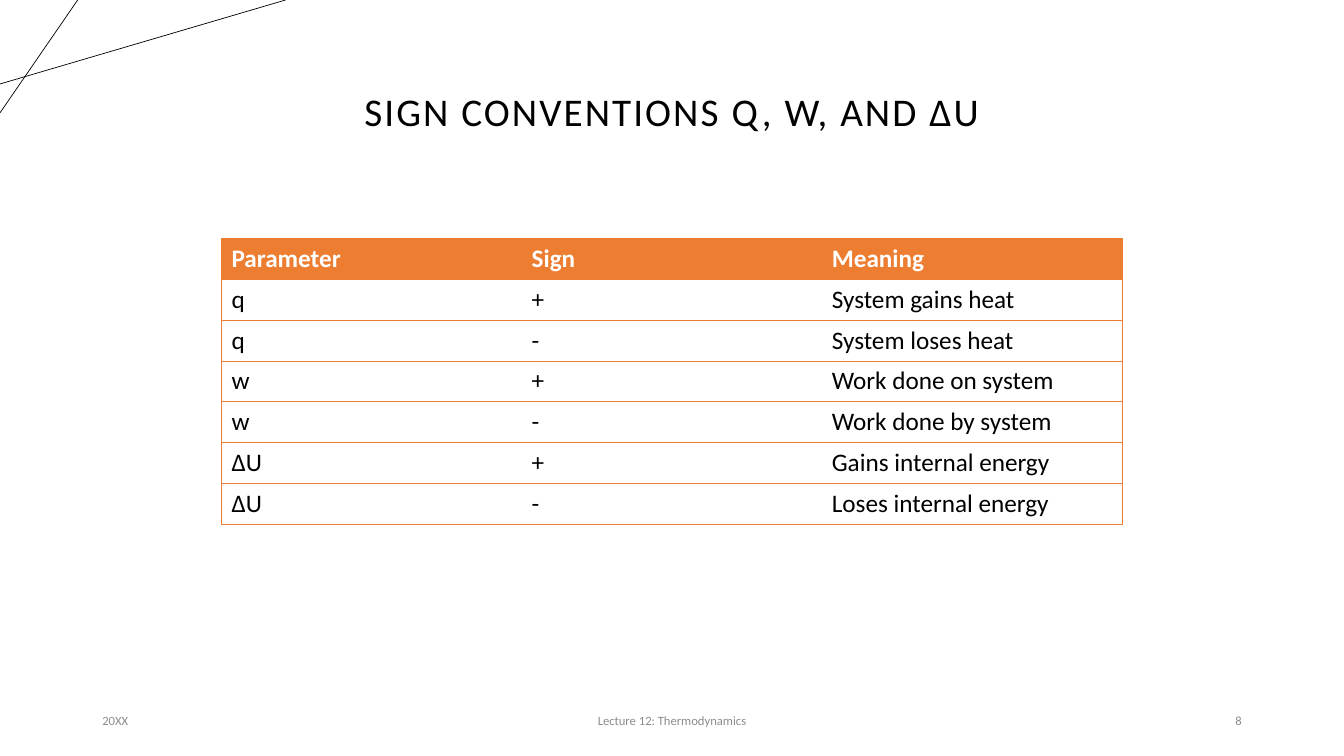
from lxml import etree
from pptx import Presentation
from pptx.dml.color import RGBColor
from pptx.enum.shapes import MSO_CONNECTOR
from pptx.enum.text import MSO_ANCHOR, PP_ALIGN
from pptx.oxml.ns import qn
from pptx.util import Pt

LEFT, CENTER, RIGHT = PP_ALIGN.LEFT, PP_ALIGN.CENTER, PP_ALIGN.RIGHT
MIDDLE = MSO_ANCHOR.MIDDLE
STRAIGHT = MSO_CONNECTOR.STRAIGHT

FONT = "Calibri"
BLACK, WHITE, GRAY, ORANGE = "000000", "FFFFFF", "8C8C8C", "ED7D31"

TITLE = "SIGN CONVENTIONS Q, W, AND ΔU"
ROWS = [
    ("Parameter", "Sign", "Meaning"),
    ("q", "+", "System gains heat"),
    ("q", "-", "System loses heat"),
    ("w", "+", "Work done on system"),
    ("w", "-", "Work done by system"),
    ("ΔU", "+", "Gains internal energy"),
    ("ΔU", "-", "Loses internal energy"),
]
FOOTERS = [
    ("20XX", 66, 216, LEFT),
    ("Lecture 12: Thermodynamics", 318, 324, CENTER),
    ("8", 678, 216, RIGHT),
]
CORNER_LINES = [(0, 60, 204, 0), (55.5, 0, 0, 80.6)]

TABLE_LEFT, TABLE_TOP = 158.2, 170.2
COL_W, ROW_H = 214.4, 29.2


def color(value):
    return RGBColor.from_string(value)


def style(p, size, value, align=LEFT, bold=False):
    p.alignment = align
    p.font.name = FONT
    p.font.size = Pt(size)
    p.font.bold = bold
    p.font.color.rgb = color(value)


def border(cell, side, visible):
    ln = etree.SubElement(cell._tc.get_or_add_tcPr(), qn(f"a:ln{side}"), w=str(Pt(0.5)))
    if visible:
        fill = etree.SubElement(ln, qn("a:solidFill"))
        etree.SubElement(fill, qn("a:srgbClr"), val=ORANGE)
    else:
        etree.SubElement(ln, qn("a:noFill"))


def add_corner_lines(s):
    for ends in CORNER_LINES:
        line = s.shapes.add_connector(STRAIGHT, *map(Pt, ends))
        line.line.color.rgb = color(BLACK)
        line.line.width = Pt(0.5)
        etree.SubElement(line._element.spPr, qn("a:effectLst"))


def add_title(s):
    sp = s.shapes.title
    sp.left, sp.top, sp.width, sp.height = Pt(66), Pt(28.8), Pt(828), Pt(104.4)
    tf = sp.text_frame
    tf.text = TITLE
    tf.vertical_anchor = MIDDLE
    p = tf.paragraphs[0]
    p.line_spacing = 0.9
    style(p, 28, BLACK, CENTER)
    p.runs[0].font._element.set("spc", "150")


def add_footers(s):
    for text, left, width, align in FOOTERS:
        sp = s.shapes.add_textbox(Pt(left), Pt(500.5), Pt(width), Pt(28.75))
        tf = sp.text_frame
        tf.word_wrap = True
        tf.vertical_anchor = MIDDLE
        tf.text = text
        style(tf.paragraphs[0], 9, GRAY, align)


def add_sign_table(s):
    n_rows, n_cols = len(ROWS), len(ROWS[0])
    table = s.shapes.add_table(n_rows, n_cols, Pt(TABLE_LEFT), Pt(TABLE_TOP),
                               Pt(COL_W * n_cols), Pt(ROW_H * n_rows)).table
    table.horz_banding = False
    for col in table.columns:
        col.width = Pt(COL_W)
    for i, texts in enumerate(ROWS):
        table.rows[i].height = Pt(ROW_H)
        header = i == 0
        for j, text in enumerate(texts):
            cell = table.cell(i, j)
            cell.text = text
            style(cell.text_frame.paragraphs[0], 18, WHITE if header else BLACK, bold=header)
            border(cell, "L", j == 0)
            border(cell, "R", j == n_cols - 1)
            border(cell, "T", True)
            border(cell, "B", True)
            if header:
                cell.fill.solid()
                cell.fill.fore_color.rgb = color(ORANGE)
            else:
                cell.fill.background()


def main():
    prs = Presentation()
    prs.slide_width, prs.slide_height = Pt(960), Pt(540)
    s = prs.slides.add_slide(prs.slide_layouts[5])
    add_corner_lines(s)
    add_title(s)
    add_footers(s)
    add_sign_table(s)
    prs.save("out.pptx")


if __name__ == "__main__":
    main()
